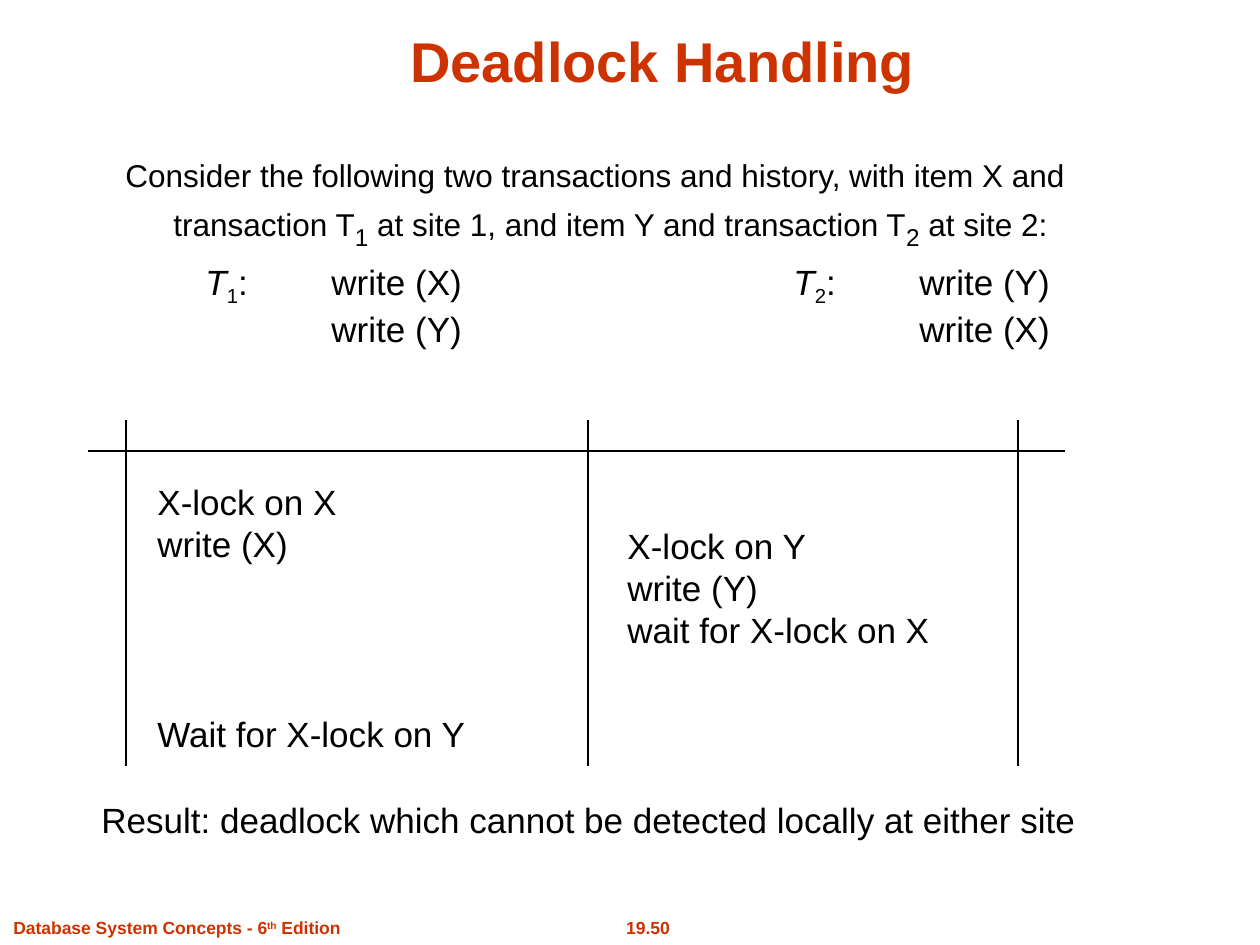
from dataclasses import dataclass

from lxml import etree
from pptx import Presentation
from pptx.dml.color import RGBColor
from pptx.enum.shapes import MSO_CONNECTOR
from pptx.enum.text import MSO_ANCHOR, MSO_AUTO_SIZE, PP_ALIGN
from pptx.oxml.ns import qn
from pptx.util import Emu, Pt

STRAIGHT = MSO_CONNECTOR.STRAIGHT
BOTTOM = MSO_ANCHOR.BOTTOM
GROW = MSO_AUTO_SIZE.SHAPE_TO_FIT_TEXT
NO_FIT = MSO_AUTO_SIZE.NONE
LEFT, CENTER = PP_ALIGN.LEFT, PP_ALIGN.CENTER

PX_PER_INCH = 126
TITLE_ONLY = 5


@dataclass(frozen=True)
class Theme:
    font: str = "Arial"
    accent: RGBColor = RGBColor(0xCC, 0x33, 0x00)
    ink: RGBColor = RGBColor(0, 0, 0)
    title: int = 32
    intro: int = 18
    intro_index: int = 24
    body: int = 20
    footer: int = 10
    rule: float = 0.75


THEME = Theme()


@dataclass(frozen=True)
class Span:
    text: str
    size: int = THEME.body
    color: RGBColor = THEME.ink
    bold: bool = False
    italic: bool = False
    baseline: int = 0


@dataclass(frozen=True)
class TextBlock:
    left: int
    top: int
    width: int
    height: int
    paragraphs: list[list[Span]]
    align: PP_ALIGN = LEFT
    wrap: bool = False
    hanging: int = 0
    tab: int = 0


@dataclass(frozen=True)
class Rule:
    x1: int
    y1: int
    x2: int
    y2: int


def px(value: int) -> Emu:
    return Emu(round(value * 914400 / PX_PER_INCH))


def plain(*lines: str) -> list[list[Span]]:
    return [[Span(line)] for line in lines]


def footer_span(text: str, baseline: int = 0) -> Span:
    return Span(text, THEME.footer, THEME.accent, bold=True, baseline=baseline)


def transaction(left: int, index: str, first: str, second: str) -> TextBlock:
    heading = [Span("T", italic=True), Span(index, baseline=-25),
               Span(f":\twrite ({first})")]
    return TextBlock(left, 254, 286, 103,
                     [heading, [Span(f"\twrite ({second})")]], tab=126)


def style_paragraph(para, block: TextBlock) -> None:
    para.alignment = block.align
    properties = para._p.get_or_add_pPr()
    if block.hanging:
        properties.set("marL", str(px(block.hanging)))
        properties.set("indent", str(-px(block.hanging)))
    if block.tab:
        tabs = etree.SubElement(properties, qn("a:tabLst"))
        etree.SubElement(tabs, qn("a:tab"), pos=str(px(block.tab)), algn="l")


def add_span(para, span: Span) -> None:
    run = para.add_run()
    run.text = span.text
    run.font.name = THEME.font
    run.font.size = Pt(span.size)
    run.font.bold = span.bold
    run.font.italic = span.italic
    run.font.color.rgb = span.color
    if span.baseline:
        run._r.get_or_add_rPr().set("baseline", str(span.baseline * 1000))


def place(shape, block: TextBlock) -> None:
    shape.left, shape.top = px(block.left), px(block.top)
    shape.width, shape.height = px(block.width), px(block.height)
    frame = shape.text_frame
    frame.word_wrap = block.wrap
    frame.auto_size = NO_FIT if block.wrap else GROW
    for number, spans in enumerate(block.paragraphs):
        para = frame.add_paragraph() if number else frame.paragraphs[0]
        style_paragraph(para, block)
        for span in spans:
            add_span(para, span)


def add_text(page, block: TextBlock) -> None:
    place(page.shapes.add_textbox(0, 0, 0, 0), block)


def add_rule(page, rule: Rule) -> None:
    line = page.shapes.add_connector(
        STRAIGHT, px(rule.x1), px(rule.y1), px(rule.x2), px(rule.y2))
    line.line.color.rgb = THEME.ink
    line.line.width = Pt(THEME.rule)
    etree.SubElement(line._element.spPr, qn("a:effectLst"))


TITLE = TextBlock(
    106, 16, 1113, 84,
    [[Span("Deadlock Handling", THEME.title, THEME.accent, bold=True)]],
    align=CENTER, wrap=True)

INTRO = [
    Span("Consider the following two transactions and history, "
         "with item X and transaction T", THEME.intro),
    Span("1", THEME.intro_index, baseline=-25),
    Span(" at site 1, and item Y and transaction T", THEME.intro),
    Span("2", THEME.intro_index, baseline=-25),
    Span(" at site 2:", THEME.intro),
]

EDITION = [footer_span("Database System Concepts - 6"),
           footer_span("th", 30), footer_span(" Edition")]

TEXTS = [
    TextBlock(581, 911, 134, 34, [[footer_span("19.50")]], align=CENTER),
    TextBlock(1, 911, 354, 34, [EDITION]),
    TextBlock(113, 150, 1091, 106, [INTRO], wrap=True, hanging=48),
    transaction(193, "1", "X", "Y"),
    transaction(781, "2", "Y", "X"),
    TextBlock(145, 474, 209, 97, plain("X-lock on X", "write (X)")),
    TextBlock(615, 518, 332, 139,
              plain("X-lock on Y", "write (Y)", "wait for X-lock on X")),
    TextBlock(145, 706, 339, 55, plain("Wait for X-lock on Y")),
    TextBlock(89, 792, 1004, 55, plain(
        "Result: deadlock which cannot be detected locally at either site")),
]

RULES = [Rule(x, 420, x, 766) for x in (126, 588, 1018)]
RULES.append(Rule(88, 451, 1065, 451))


def main() -> None:
    deck = Presentation()
    deck.slide_width, deck.slide_height = px(1260), px(945)
    page = deck.slides.add_slide(deck.slide_layouts[TITLE_ONLY])
    place(page.shapes.title, TITLE)
    page.shapes.title.text_frame.vertical_anchor = BOTTOM
    for block in TEXTS:
        add_text(page, block)
    for rule in RULES:
        add_rule(page, rule)
    deck.save("out.pptx")


if __name__ == "__main__":
    main()
